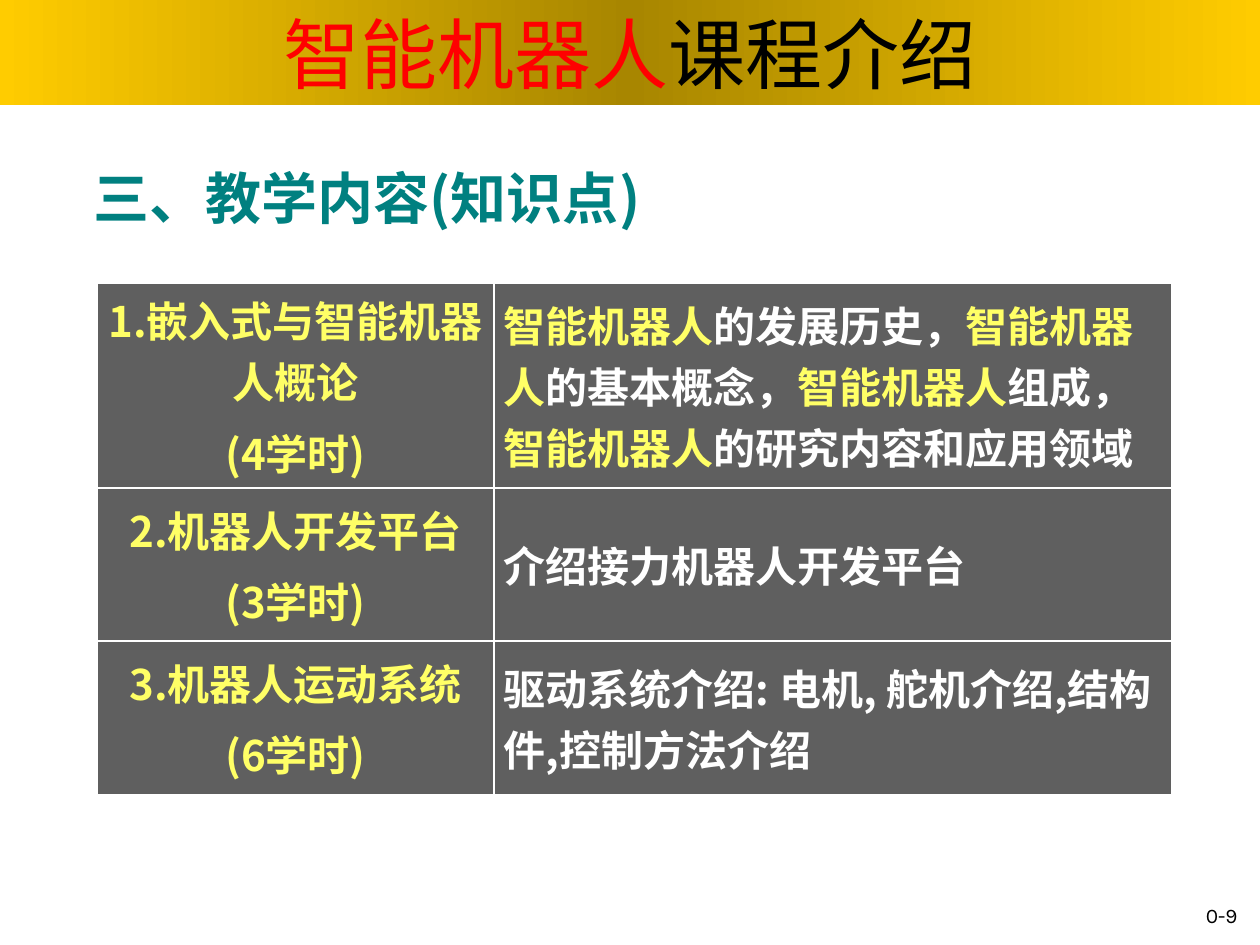
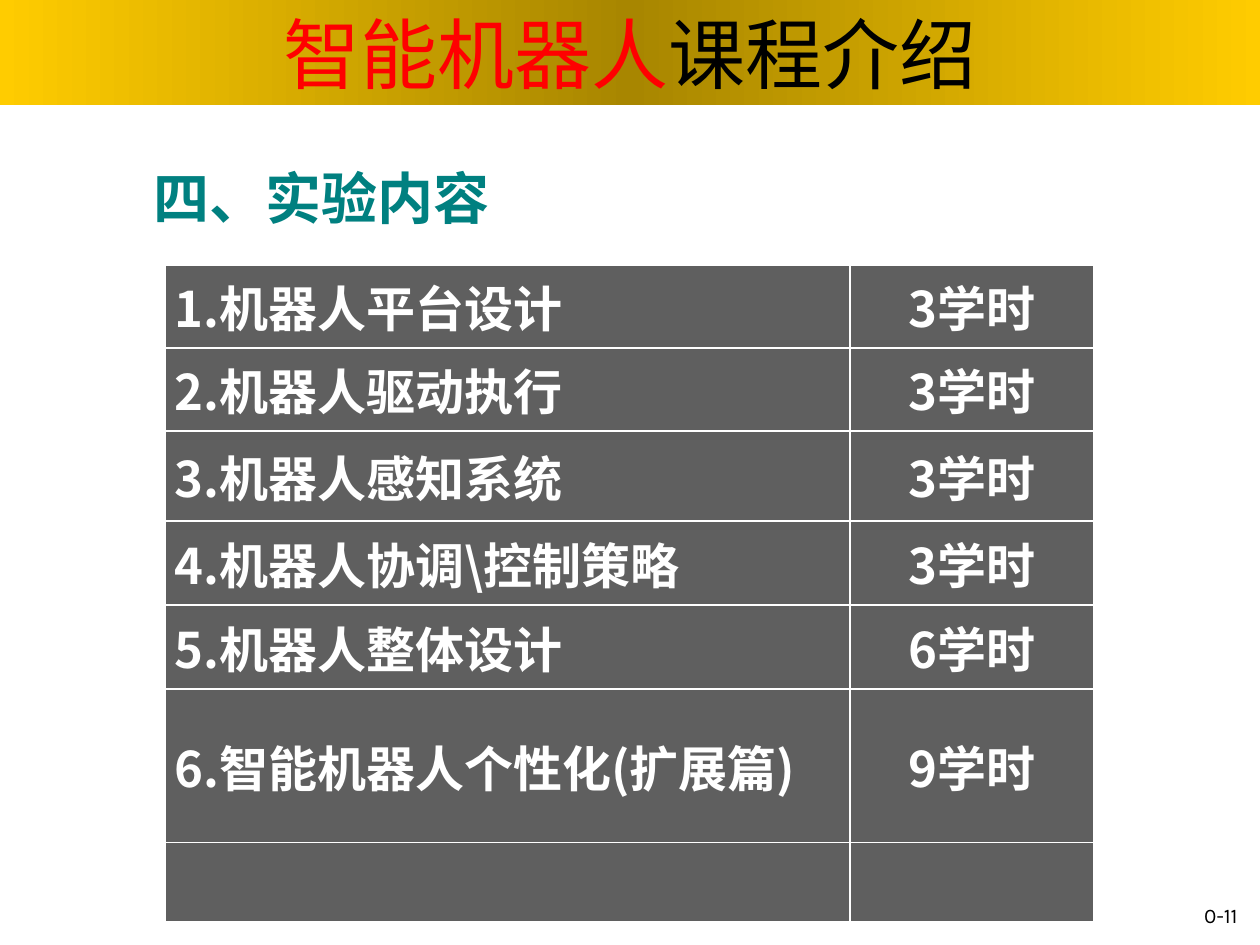
from copy import deepcopy
from lxml.etree import SubElement
from pptx import Presentation
from pptx.dml.color import RGBColor
from pptx.enum.shapes import MSO_SHAPE
from pptx.enum.text import MSO_ANCHOR, MSO_AUTO_SIZE, PP_ALIGN
from pptx.oxml.ns import qn
from pptx.util import Pt

PX = 914400 / 126
WIDE, HIGH = 1260, 945
BAND = (0, 0, WIDE, 105)
GOLD = RGBColor(0xFF, 0xCC, 0x00)
BRONZE = RGBColor(0xA8, 0x86, 0x00)
RED = RGBColor(0xFF, 0x00, 0x00)
BLACK = RGBColor(0x00, 0x00, 0x00)
TEAL = RGBColor(0x00, 0x80, 0x80)
GREY = RGBColor(0x5F, 0x5F, 0x5F)
WHITE = RGBColor(0xFF, 0xFF, 0xFF)
YELLOW = RGBColor(0xFF, 0xFF, 0x66)
HAN = "Noto Sans CJK SC"
ROBOT = "智能机器人"

TOPICS = [
    (["1.嵌入式与智能机器人概论", "(4学时)"],
     "智能机器人的发展历史，智能机器人的基本概念，智能机器人组成，智能机器人的研究内容和应用领域"),
    (["2.机器人开发平台", "(3学时)"], "介绍接力机器人开发平台"),
    (["3.机器人运动系统", "(6学时)"],
     "驱动系统介绍: 电机, 舵机介绍,结构件,控制方法介绍"),
]
LABS = [
    ("1.机器人平台设计", 3),
    ("2.机器人驱动执行", 3),
    ("3.机器人感知系统", 3),
    ("4.机器人协调\\控制策略", 3),
    ("5.机器人整体设计", 6),
    ("6.智能机器人个性化(扩展篇)", 9),
]


def emu(px):
    """Turn px into EMU."""
    return round(px * PX)


def style(para, size, color=None, face=HAN, bold=False, align=PP_ALIGN.LEFT):
    """Format a whole paragraph."""
    para.alignment = align
    font = para.font
    font.size, font.bold, font.name = Pt(size), bold, face
    if color is not None:
        font.color.rgb = color
    base = para._p.pPr.find(qn("a:defRPr"))
    SubElement(base, qn("a:ea")).set("typeface", HAN)


def mark(para, text, hot, cold):
    """Write text with the robot's name in the hot colour."""
    for index, part in enumerate(text.split(ROBOT)):
        for word, color in ((ROBOT if index else "", hot), (part, cold)):
            if word:
                run = para.add_run()
                run.text = word
                run.font.color.rgb = color


def label(slide, box, text, anchor):
    """Add a wrapped text box and return its paragraph."""
    frame = slide.shapes.add_textbox(*map(emu, box)).text_frame
    frame.word_wrap = True
    frame.vertical_anchor = anchor
    para = frame.paragraphs[0]
    para.text = text
    return para


def band(slide, box):
    """Lay the golden band behind everything else."""
    bar = slide.shapes.add_shape(MSO_SHAPE.RECTANGLE, *map(emu, box))
    bar.shadow.inherit = False
    bar.line.fill.background()
    bar.fill.gradient()
    bar.fill.gradient_angle = 0
    stops = bar._element.spPr.find(".//" + qn("a:gsLst"))
    stops.insert(1, deepcopy(stops[0]))
    for stop, color, at in zip(bar.fill.gradient_stops,
                               (GOLD, BRONZE, GOLD), (0, 0.5, 1)):
        stop.color.rgb = color
        stop.position = at
    slide.shapes._spTree.insert(2, bar._element)


def head(slide, box):
    """Place and format the title."""
    title = slide.shapes.title
    title.left, title.top, title.width, title.height = map(emu, box)
    frame = title.text_frame
    frame.auto_size = MSO_AUTO_SIZE.NONE
    frame.vertical_anchor = MSO_ANCHOR.MIDDLE
    para = frame.paragraphs[0]
    mark(para, ROBOT + "课程介绍", RED, BLACK)
    style(para, 44, face="Arial", align=PP_ALIGN.CENTER)


def page(deck, topic, box, number):
    """Start a slide with its band, title, heading and number."""
    slide = deck.slides.add_slide(deck.slide_layouts[5])
    band(slide, BAND)
    head(slide, BAND)
    para = label(slide, box, topic, MSO_ANCHOR.TOP)
    para.line_spacing = 0.9
    style(para, 32, TEAL, bold=True)
    para = label(slide, (1134, 892, 116, 42), number, MSO_ANCHOR.BOTTOM)
    para.line_spacing = 0.9
    style(para, 11.9, BLACK, "Karla", align=PP_ALIGN.RIGHT)
    return slide


def rule(cell, sides):
    """Draw thin white lines on the named sides of a cell."""
    for side in sides:
        line = SubElement(cell._tc.get_or_add_tcPr(), qn("a:ln" + side), w="9525")
        fill = SubElement(line, qn("a:solidFill"))
        SubElement(fill, qn("a:srgbClr"), val=str(WHITE))


def grid(slide, left, top, cols, rows):
    """Add a grey table with white inner lines."""
    box = (left, top, sum(cols), sum(rows))
    table = slide.shapes.add_table(len(rows), len(cols), *map(emu, box)).table
    table.first_row = table.horz_banding = False
    for col, width in zip(table.columns, cols):
        col.width = emu(width)
    for y, (row, height) in enumerate(zip(table.rows, rows)):
        row.height = emu(height)
        for x, cell in enumerate(row.cells):
            inner = {"L": x > 0, "R": x < len(cols) - 1,
                     "T": y > 0, "B": y < len(rows) - 1}
            rule(cell, [side for side, on in inner.items() if on])
            cell.fill.solid()
            cell.fill.fore_color.rgb = GREY
            cell.vertical_anchor = MSO_ANCHOR.MIDDLE
            cell.margin_left = cell.margin_right = emu(10)
            cell.margin_top = cell.margin_bottom = emu(6)
    return table


def topics(deck):
    """Build the slide of teaching topics."""
    slide = page(deck, "三、教学内容(知识点)", (81, 165, 1068, 87), "0-9")
    table = grid(slide, 97, 283, (397, 678), (205, 153, 154))
    for y, (names, text) in enumerate(TOPICS):
        frame = table.cell(y, 0).text_frame
        frame.text = "\n".join(names)
        for para in frame.paragraphs:
            style(para, 24, YELLOW, bold=True, align=PP_ALIGN.CENTER)
        frame.paragraphs[1].space_before = Pt(6)
        para = table.cell(y, 1).text_frame.paragraphs[0]
        mark(para, text, YELLOW, WHITE)
        style(para, 24, bold=True)


def labs(deck):
    """Build the slide of lab work and hours."""
    slide = page(deck, "四、实验内容", (141, 165, 965, 87), "0-11")
    table = grid(slide, 165, 265, (685, 244), (83, 83, 90, 84, 84, 154, 79))
    for y, (name, hours) in enumerate(LABS):
        pairs = ((name, PP_ALIGN.LEFT), (f"{hours}学时", PP_ALIGN.CENTER))
        for x, (text, align) in enumerate(pairs):
            para = table.cell(y, x).text_frame.paragraphs[0]
            para.text = text
            style(para, 28, WHITE, bold=True, align=align)


def main():
    """Build and save the slides."""
    deck = Presentation()
    deck.slide_width, deck.slide_height = emu(WIDE), emu(HIGH)
    topics(deck)
    labs(deck)
    deck.save("out.pptx")


if __name__ == "__main__":
    main()
